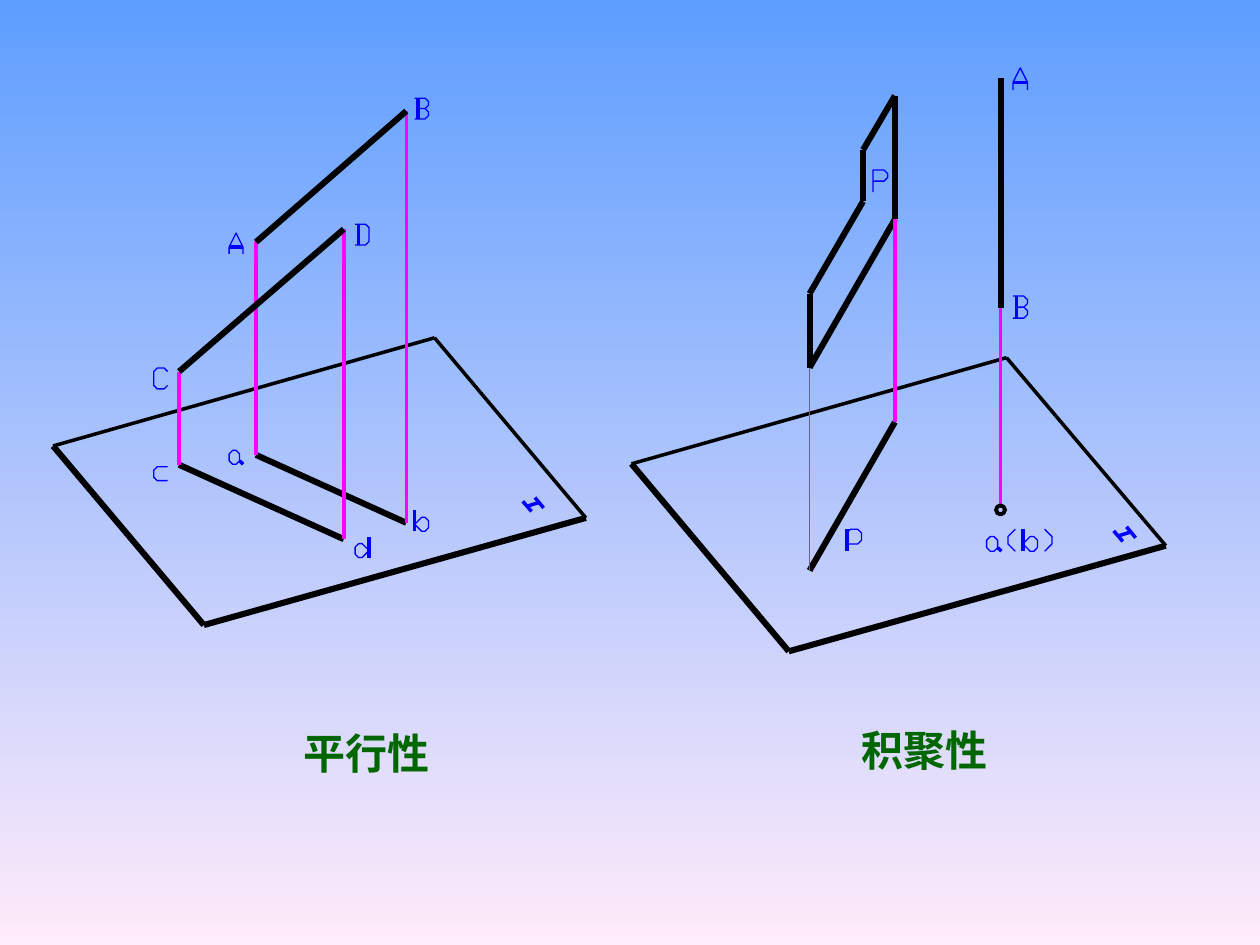
from itertools import pairwise
from math import cos, pi, sin

from lxml import etree
from pptx import Presentation
from pptx.dml.color import RGBColor
from pptx.enum.shapes import MSO_CONNECTOR
from pptx.enum.text import MSO_AUTO_SIZE, PP_ALIGN
from pptx.oxml.ns import qn
from pptx.util import Cm, Pt

STRAIGHT = MSO_CONNECTOR.STRAIGHT
CENTER = PP_ALIGN.CENTER
GROW = MSO_AUTO_SIZE.SHAPE_TO_FIT_TEXT
FONT = "Noto Sans CJK SC"
COLORS = {
    "sky": "5E9EFF",
    "blush": "FFEBFA",
    "outline": "000000",
    "projector": "FF00FF",
    "letter": "0000FF",
    "caption": "006600",
}
HAIRLINE, THICK = 0, 3.5

# Strokes of each drawn letter on a grid 4 wide and 6 high.
GLYPHS = {
    "A": [[(0, 6), (0, 4), (2, 0), (4, 4), (4, 6)], [(0, 4), (4, 4)]],
    "B": [[(0, 6), (3, 6), (4, 5), (4, 4), (3, 3), (1, 3)],
          [(3, 3), (4, 2), (4, 1), (3, 0), (0, 0)], [(1, 0), (1, 6)]],
    "C": [[(4, 5), (3, 6), (1, 6), (0, 5), (0, 1), (1, 0), (3, 0), (4, 1)]],
    "D": [[(0, 6), (3, 6), (4, 5), (4, 1), (3, 0), (0, 0)], [(1, 0), (1, 6)]],
    "H": [[(2.5, 4), (0, 1.1)], [(1.2, 2.5), (4.7, 1.4)], [(3.5, 0), (6, 3)]],
    "P": [[(0, 6), (0, 0), (3, 0), (4, 1), (4, 2), (3, 3), (0, 3)]],
    "a": [[(2, 6), (1, 6), (0, 5), (0, 3), (1, 2), (2, 2), (3, 3), (3, 5), (2, 6)],
          [(3, 5), (4, 6)]],
    "b": [[(0, 6), (0, 0)],
          [(0, 4), (2, 2), (3, 2), (4, 3), (4, 5), (3, 6), (2, 6), (0, 4)]],
    "c": [[(4, 2), (1, 2), (0, 3), (0, 5), (1, 6), (4, 6)]],
    "d": [[(4, 4), (2, 6), (1, 6), (0, 5), (0, 3), (1, 2), (2, 2), (4, 4)],
          [(4, 0), (4, 6)]],
    "p": [[(0, 6), (0, 0)],
          [(0, 1), (1, 0), (3, 0), (4, 1), (4, 3), (3, 4), (0, 4)]],
    "(": [[(2, 0), (0, 2), (0, 4), (2, 6)]],
    ")": [[(0, 0), (2, 2), (2, 4), (0, 6)]],
}


def rgb(name):
    return RGBColor.from_string(COLORS[name])


def set_background(slide):
    fill = slide.background.fill
    fill.gradient()
    fill.gradient_angle = 270
    for stop, position, name in zip(fill.gradient_stops, (0, 1), ("sky", "blush")):
        stop.position = position
        stop.color.rgb = rgb(name)


def add_line(slide, start, end, color="outline", width=THICK):
    line = slide.shapes.add_connector(
        STRAIGHT, *(Cm(value) for value in (*start, *end)))
    line.line.color.rgb = rgb(color)
    line.line.width = Pt(width)
    etree.SubElement(line._element.spPr, qn("a:effectLst"))


def add_path(slide, points, color, width):
    """Draw an unfilled outline through the points."""
    start, *rest = [(Cm(x), Cm(y)) for x, y in points]
    builder = slide.shapes.build_freeform(*start)
    builder.add_line_segments(rest, close=False)
    shape = builder.convert_to_shape()
    shape.shadow.inherit = False
    shape.fill.background()
    shape.line.color.rgb = rgb(color)
    shape.line.width = Pt(width)


def add_letter(slide, letter, left, top, unit):
    for stroke in GLYPHS[letter]:
        points = [(left + x * unit, top + y * unit) for x, y in stroke]
        if len(points) == 2:
            add_line(slide, *points, color="letter", width=HAIRLINE)
        else:
            add_path(slide, points, "letter", HAIRLINE)


def add_plane(slide, back, left, front, right):
    """Draw the plane with thin far edges and thick near edges."""
    for start, end in pairwise((left, back, right)):
        add_line(slide, start, end, width=HAIRLINE)
    for start, end in pairwise((left, front, right)):
        add_line(slide, start, end)


def add_projector(slide, start, end, width=HAIRLINE):
    add_line(slide, start, end, color="projector", width=width)


def add_text(slide, text, left, top, *, width=2.54, height=1.02, size=24,
             color="caption", bold=True):
    box = slide.shapes.add_textbox(Cm(left), Cm(top), Cm(width), Cm(height))
    frame = box.text_frame
    frame.margin_left = frame.margin_right = 0
    frame.margin_top = frame.margin_bottom = 0
    frame.word_wrap = False
    frame.auto_size = GROW
    paragraph = frame.paragraphs[0]
    paragraph.alignment = CENTER
    run = paragraph.add_run()
    run.text = text
    run.font.size = Pt(size)
    run.font.bold = bold
    run.font.color.rgb = rgb(color)
    run.font.name = FONT
    etree.SubElement(run._r.get_or_add_rPr(), qn("a:ea"), typeface=FONT)


def add_parallel_figure(slide):
    add_plane(slide, (8.76, 6.81), (1.07, 8.99), (4.11, 12.6), (11.81, 10.44))
    segments = [
        ((5.16, 4.88), (8.19, 2.24), 9.17, 10.54),
        ((3.61, 7.49), (6.93, 4.62), 9.37, 10.87),
    ]
    for start, end, start_foot, end_foot in segments:
        feet = (start[0], start_foot), (end[0], end_foot)
        add_line(slide, *feet)
        for point, foot in zip((start, end), feet):
            add_projector(slide, foot, point)
        add_line(slide, start, end)
    letters = [
        ("A", 4.62, 4.7), ("B", 8.36, 1.98), ("C", 3.1, 7.42), ("D", 7.16, 4.52),
        ("a", 4.62, 8.94), ("b", 8.36, 10.29), ("c", 3.1, 9.27), ("d", 7.16, 10.82),
        ("H", 10.54, 10.03),
    ]
    for letter, left, top in letters:
        add_letter(slide, letter, left, top, 0.07)
    add_text(slide, "平行性", 6.12, 14.66)


def add_accumulation_figure(slide):
    add_plane(slide, (20.29, 7.21), (12.73, 9.35), (15.9, 13.13), (23.5, 11))
    upper, lower = (18.04, 4.42), (16.32, 7.41)
    upper_foot, lower_foot = (18.04, 8.51), (16.32, 11.5)
    corners = [upper, (18.04, 1.93), (17.4, 3.02), (17.4, 4.06), (16.32, 5.92),
               lower, upper]
    for start, end in pairwise(corners):
        add_line(slide, start, end)
    add_line(slide, upper_foot, lower_foot)
    add_projector(slide, upper, upper_foot)
    add_projector(slide, lower, lower_foot, width=0.75)

    top, bottom, foot = (20.17, 1.57), (20.17, 6.2), (20.17, 10.19)
    add_line(slide, bottom, top)
    add_projector(slide, bottom, foot)
    radius = 0.09
    ring = [(foot[0] + radius * cos(step * pi / 4),
             foot[1] + radius * (1 + sin(step * pi / 4))) for step in range(9)]
    add_path(slide, ring, "outline", 2.25)

    letters = [
        ("P", 17.6, 3.43), ("p", 17.07, 10.67), ("A", 20.42, 1.37), ("B", 20.42, 5.97),
        ("a", 19.89, 10.67), ("(", 20.32, 10.67), ("b", 20.62, 10.67),
        (")", 21.06, 10.67), ("H", 22.45, 10.62),
    ]
    for letter, left, top_edge in letters:
        add_letter(slide, letter, left, top_edge, 0.074)
    add_text(slide, "积聚性", 17.37, 14.61)


def main():
    presentation = Presentation()
    presentation.slide_width = Cm(25.4)
    presentation.slide_height = Cm(19.05)
    slide = presentation.slides.add_slide(presentation.slide_layouts[6])
    set_background(slide)
    add_parallel_figure(slide)
    add_accumulation_figure(slide)
    presentation.save("out.pptx")


if __name__ == "__main__":
    main()
